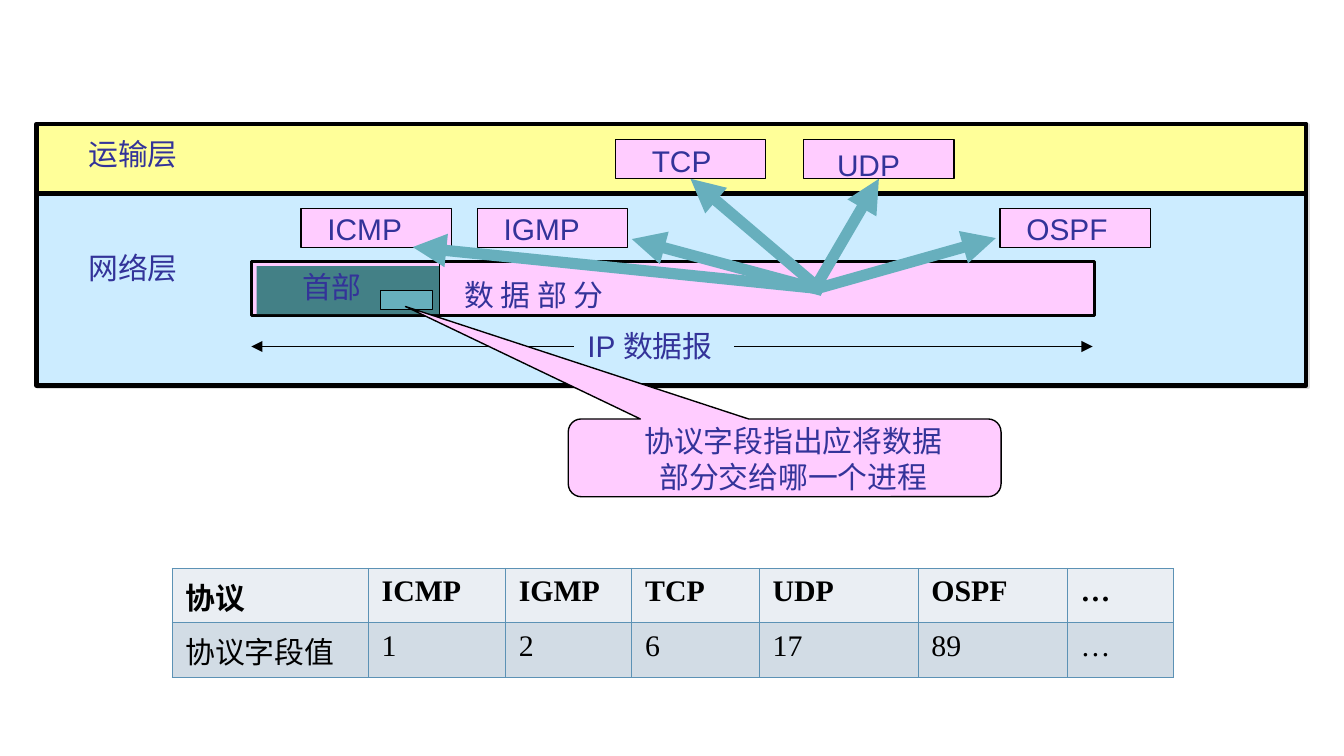
"""Build a slide showing how the IP protocol field selects the receiving process."""
from lxml import etree
from pptx import Presentation
from pptx.dml.color import RGBColor
from pptx.enum.shapes import MSO_CONNECTOR, MSO_SHAPE
from pptx.enum.text import MSO_AUTO_SIZE, PP_ALIGN
from pptx.oxml import parse_xml
from pptx.oxml.ns import nsdecls, qn
from pptx.util import Cm, Pt

RECTANGLE = MSO_SHAPE.RECTANGLE
CALLOUT = MSO_SHAPE.ROUNDED_RECTANGULAR_CALLOUT
STRAIGHT = MSO_CONNECTOR.STRAIGHT
CENTER = PP_ALIGN.CENTER
GROW = MSO_AUTO_SIZE.SHAPE_TO_FIT_TEXT

BLACK = RGBColor(0x00, 0x00, 0x00)
YELLOW = RGBColor(0xFF, 0xFF, 0x99)
SKY = RGBColor(0xCC, 0xEC, 0xFF)
PINK = RGBColor(0xFF, 0xCC, 0xFF)
DARK_TEAL = RGBColor(0x43, 0x80, 0x86)
TEAL = RGBColor(0x67, 0xAF, 0xBD)
INDIGO = RGBColor(0x33, 0x33, 0x99)
HEADING_FILL = RGBColor(0xEA, 0xEE, 0xF3)
VALUE_FILL = RGBColor(0xD2, 0xDC, 0xE5)
GRID = RGBColor(0x5C, 0x92, 0xB5)
SHADOW = RGBColor(0xDE, 0xDE, 0xDE)


def add_box(kind, left, top, width, height, fill, outline=0.75):
    box = slide.shapes.add_shape(kind, Cm(left), Cm(top), Cm(width), Cm(height))
    box.shadow.inherit = False
    box.fill.solid()
    box.fill.fore_color.rgb = fill
    if outline:
        box.line.color.rgb = BLACK
        box.line.width = Pt(outline)
    else:
        box.line.fill.background()
    return box


def add_label(text, left, top, width, height=0.94):
    label = slide.shapes.add_textbox(Cm(left), Cm(top), Cm(width), Cm(height))
    label.text_frame.word_wrap = False
    label.text_frame.auto_size = GROW
    label.text_frame.text = text
    for paragraph in label.text_frame.paragraphs:
        paragraph.font.size = Pt(16)
        paragraph.font.name = "Arial"
        paragraph.font.color.rgb = INDIGO
    return label


prs = Presentation()
prs.slide_width = Cm(25.4)
prs.slide_height = Cm(14.29)
slide = prs.slides.add_slide(prs.slide_layouts[6])

for top, height, fill in ((2.34, 1.32, YELLOW), (3.66, 3.63, SKY)):
    layer = add_box(RECTANGLE, 0.69, top, 24, height, fill, 2.25)
    layer.element.spPr.find(qn("a:effectLst")).append(parse_xml(
        f'<a:outerShdw {nsdecls("a")} dist="17780" dir="2700000" algn="ctr">'
        f'<a:srgbClr val="{SHADOW}"/></a:outerShdw>'))

add_box(RECTANGLE, 4.75, 4.95, 15.93, 1.02, PINK, 1.5)
add_box(RECTANGLE, 4.85, 5.03, 3.45, 0.91, DARK_TEAL, 0)
add_label("运输层", 1.42, 2.44, 2.21)
add_label("网络层", 1.42, 4.6, 2.21)
add_label("首部", 5.46, 4.95, 1.63)

protocols = {}
for name, left, top, label_left, label_top, label_width in (
    ("TCP", 11.63, 2.64, 12.07, 2.57, 1.63),
    ("UDP", 15.19, 2.64, 15.57, 2.64, 1.7),
    ("ICMP", 5.69, 3.94, 5.94, 3.86, 1.93),
    ("IGMP", 9.02, 3.94, 9.27, 3.86, 1.96),
    ("OSPF", 18.9, 3.94, 19.15, 3.86, 2.1),
):
    protocols[name] = add_box(RECTANGLE, left, top, 2.84, 0.74, PINK)
    add_label(name, label_left, label_top, label_width)

for start_x, start_y, end_x, end_y, color, weight, ends, target in (
    (8.31, 4.95, 8.31, 5.97, BLACK, 0.75, (), None),
    (15.44, 5.38, 16.61, 3.38, TEAL, 6, ("tailEnd",), "UDP"),
    (15.47, 5.44, 13.05, 3.38, TEAL, 6, ("tailEnd",), "TCP"),
    (15.54, 5.49, 11.94, 4.52, TEAL, 6, ("tailEnd",), None),
    (15.54, 5.46, 7.8, 4.67, TEAL, 6, ("tailEnd",), None),
    (15.49, 5.44, 18.82, 4.5, TEAL, 6, ("tailEnd",), None),
    (4.75, 6.55, 20.65, 6.55, BLACK, 0.75, ("headEnd", "tailEnd"), None),
):
    link = slide.shapes.add_connector(
        STRAIGHT, Cm(start_x), Cm(start_y), Cm(end_x), Cm(end_y))
    link.line.color.rgb = color
    link.line.width = Pt(weight)
    for end in ends:
        etree.SubElement(link.line._ln, qn(f"a:{end}"), type="triangle")
    etree.SubElement(link.element.spPr, qn("a:effectLst"))
    if target:
        link.end_connect(protocols[target], 2)

add_label("数 据 部 分", 8.53, 5.11, 3.61)
datagram_label = add_label("IP 数据报", 10.85, 6.07, 3.02)
datagram_label.fill.solid()
datagram_label.fill.fore_color.rgb = SKY

add_box(RECTANGLE, 7.19, 5.49, 0.99, 0.36, TEAL)
explanation = add_box(CALLOUT, 10.74, 7.92, 8.18, 1.47, PINK)
for index, value in enumerate((-0.876, -1.946, 0.167)):
    explanation.adjustments[index] = value
explanation_text = add_label("协议字段指出应将数据\n部分交给哪一个进程", 10.69, 7.87, 8.61, 1.63)
explanation_text.text_frame.word_wrap = True
for paragraph in explanation_text.text_frame.paragraphs:
    paragraph.alignment = CENTER

rows = (
    ("协议", "ICMP", "IGMP", "TCP", "UDP", "OSPF", "…"),
    ("协议字段值", "1", "2", "6", "17", "89", "…"),
)
widths = (3.71, 2.59, 2.39, 2.41, 3, 2.82, 2.01)
numbers = slide.shapes.add_table(
    len(rows), len(widths), Cm(3.25), Cm(10.74), Cm(sum(widths)), Cm(2.06)).table
for column, width in zip(numbers.columns, widths):
    column.width = Cm(width)

for row_index, row in enumerate(rows):
    for column_index, text in enumerate(row):
        cell = numbers.cell(row_index, column_index)
        cell.text = text
        font = cell.text_frame.paragraphs[0].font
        font.size = Pt(16)
        font.name = "Times New Roman"
        font.bold = row_index == 0
        font.color.rgb = BLACK
        properties = cell._tc.get_or_add_tcPr()
        for side in ("lnL", "lnR", "lnT", "lnB"):
            properties.append(parse_xml(
                f'<a:{side} {nsdecls("a")} w="5715"><a:solidFill>'
                f'<a:srgbClr val="{GRID}"/></a:solidFill></a:{side}>'))
        cell.fill.solid()
        cell.fill.fore_color.rgb = VALUE_FILL if row_index else HEADING_FILL

prs.save("out.pptx")
